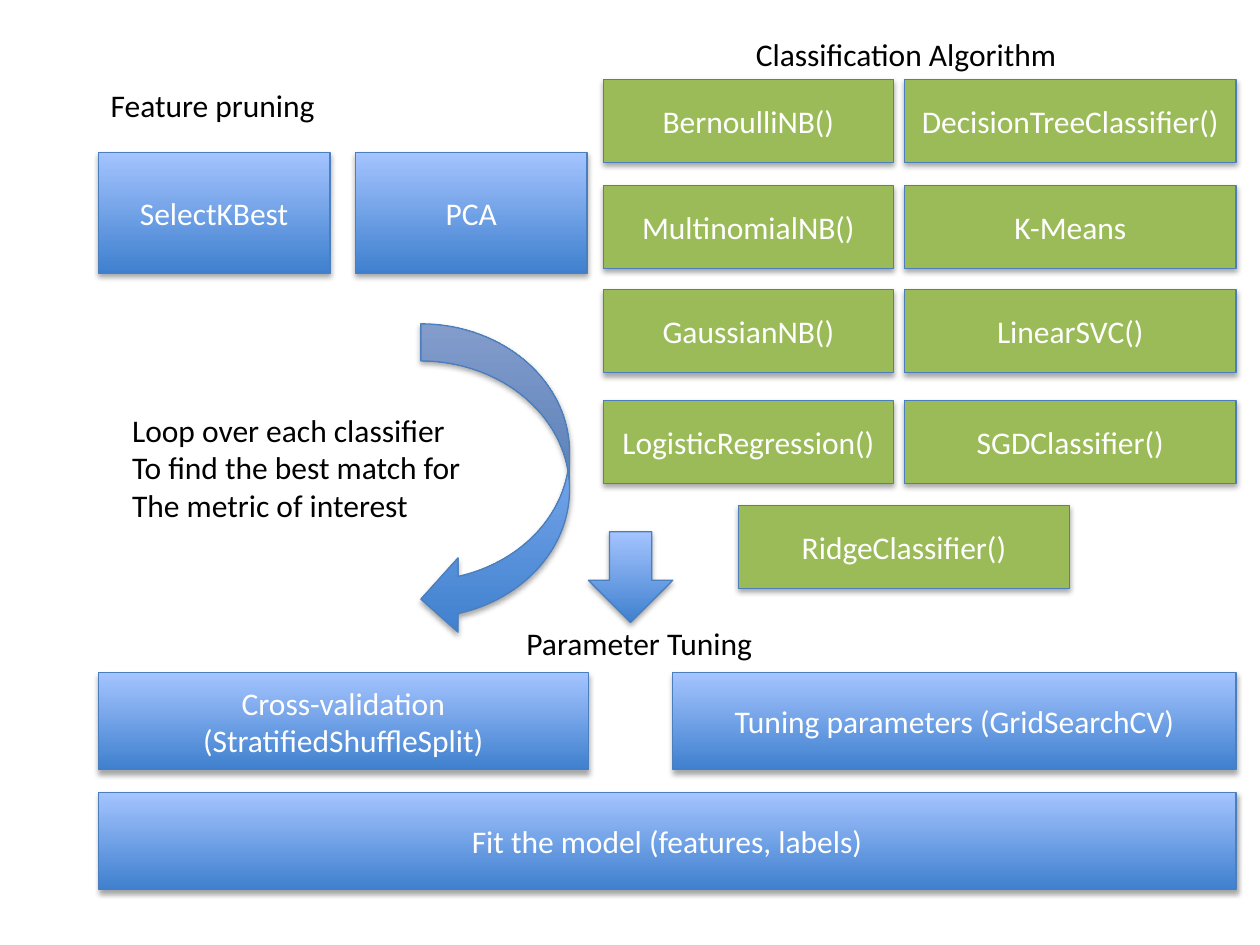
import pptx
import pptx.util
import pptx.dml.color
import pptx.enum.shapes
import pptx.enum.text
import pptx.oxml
import pptx.oxml.ns

Inches, Pt = pptx.util.Inches, pptx.util.Pt
RGBColor = pptx.dml.color.RGBColor
SHAPE = pptx.enum.shapes.MSO_SHAPE

BLUE_DARK = RGBColor(0x3F, 0x80, 0xCE)
BLUE_LIGHT = RGBColor(0xA4, 0xC4, 0xFF)
OUTLINE = RGBColor(0x4B, 0x7E, 0xBC)
GREEN = RGBColor(0x9B, 0xBB, 0x59)
WHITE = RGBColor(0xFF, 0xFF, 0xFF)
BLACK = RGBColor(0, 0, 0)

SHADOW = (
    '<a:outerShdw %s blurRad="40000" dist="23000" dir="5400000" rotWithShape="0">'
    '<a:srgbClr val="000000"><a:alpha val="35000"/></a:srgbClr></a:outerShdw>'
    % pptx.oxml.ns.nsdecls("a"))


def write(tf, lines, color, align):
    for i, line in enumerate(lines):
        p = tf.paragraphs[0] if i == 0 else tf.add_paragraph()
        p.text = line
        p.alignment = align
        p.font.name, p.font.size = "Calibri", Pt(18)
        p.font.color.rgb = color


def add_block(s, x, y, w, h, text="", color=None, kind=SHAPE.RECTANGLE):
    """Shadowed shape; a blue gradient unless a colour is given."""
    sp = s.shapes.add_shape(kind, Inches(x), Inches(y), Inches(w), Inches(h))
    if color is None:
        sp.fill.gradient()
        sp.fill.gradient_angle = 90
        for stop, rgb in zip(sp.fill.gradient_stops, (BLUE_DARK, BLUE_LIGHT)):
            stop.color.rgb = rgb
    else:
        sp.fill.solid()
        sp.fill.fore_color.rgb = color
    sp.line.color.rgb = OUTLINE
    sp.line.width = Pt(0.75)
    sp.shadow.inherit = False
    effects = sp._element.spPr.find(pptx.oxml.ns.qn("a:effectLst"))
    effects.append(pptx.oxml.parse_xml(SHADOW))
    if text:
        sp.text_frame.vertical_anchor = pptx.enum.text.MSO_ANCHOR.MIDDLE
        write(sp.text_frame, [text], WHITE, pptx.enum.text.PP_ALIGN.CENTER)


def add_label(s, x, y, w, h, *lines):
    tf = s.shapes.add_textbox(Inches(x), Inches(y), Inches(w), Inches(h)).text_frame
    tf.word_wrap = False
    tf.auto_size = pptx.enum.text.MSO_AUTO_SIZE.SHAPE_TO_FIT_TEXT
    write(tf, lines, BLACK, pptx.enum.text.PP_ALIGN.LEFT)


def feature_pruning(s, x, y):
    add_label(s, x, y, 1.85, 0.4, "Feature pruning")
    for i, name in enumerate(("SelectKBest", "PCA")):
        add_block(s, x + i * 2.04, y + 0.58, 1.84, 0.96, name)


def classifiers(s, x, y):
    add_label(s, x + 1.11, y, 2.62, 0.4, "Classification Algorithm")
    rows = (
        (0.4, "BernoulliNB()", "DecisionTreeClassifier()"),
        (1.24, "MultinomialNB()", "K-Means"),
        (2.07, "GaussianNB()", "LinearSVC()"),
        (2.95, "LogisticRegression()", "SGDClassifier()"),
    )
    for dy, left, right in rows:
        add_block(s, x, y + dy, 2.3, 0.66, left, GREEN)
        add_block(s, x + 2.39, y + dy, 2.63, 0.66, right, GREEN)
    add_block(s, x + 1.07, y + 3.78, 2.63, 0.66, "RidgeClassifier()", GREEN)


def classifier_loop(s, x, y):
    add_block(s, x + 2.39, y, 1.18, 2.48, kind=SHAPE.CURVED_LEFT_ARROW)
    add_label(s, x, y + 0.64, 2.87, 1.01, "Loop over each classifier",
              "To find the best match for ", "The metric of interest")


def parameter_tuning(s, x, y):
    add_block(s, x + 3.89, y, 0.67, 0.72, kind=SHAPE.DOWN_ARROW)
    add_label(s, x + 3.3, y + 0.68, 2.04, 0.4, "Parameter Tuning")
    add_block(s, x, y + 1.12, 3.89, 0.77, "Cross-validation (StratifiedShuffleSplit)")
    add_block(s, x + 4.56, y + 1.12, 4.47, 0.77, "Tuning parameters (GridSearchCV)")
    add_block(s, x, y + 2.07, 9.03, 0.77, "Fit the model (features, labels)")


prs = pptx.Presentation()
prs.slide_width, prs.slide_height = Inches(10), Inches(7.5)
s = prs.slides.add_slide(prs.slide_layouts[6])

# Inputs: features and candidate algorithms
feature_pruning(s, 0.78, 0.63)
classifiers(s, 4.79, 0.23)

# Tuning and fitting, with the loop beside them
parameter_tuning(s, 0.78, 4.22)
classifier_loop(s, 0.95, 2.57)

prs.save("out.pptx")
